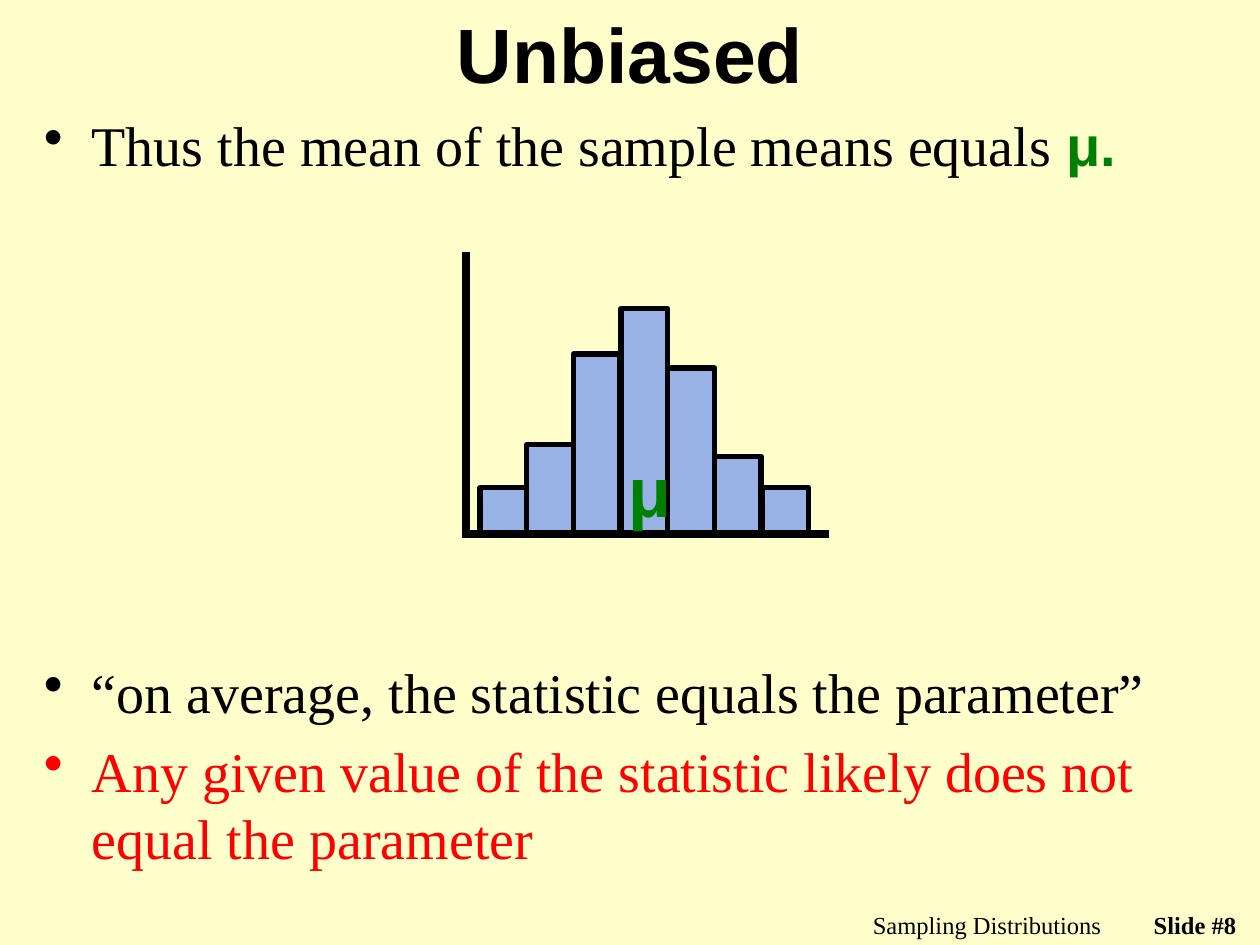
"""Build the slide on why the sample mean is unbiased."""
from dataclasses import dataclass

from lxml import etree
from pptx import Presentation
from pptx.dml.color import RGBColor
from pptx.enum.shapes import MSO_CONNECTOR, MSO_SHAPE
from pptx.enum.text import MSO_ANCHOR, MSO_AUTO_SIZE, PP_ALIGN
from pptx.oxml.ns import qn
from pptx.shapes.shapetree import GroupShapes
from pptx.slide import Slide
from pptx.util import Pt

LEFT, CENTER, RIGHT = PP_ALIGN.LEFT, PP_ALIGN.CENTER, PP_ALIGN.RIGHT
TOP, MIDDLE = MSO_ANCHOR.TOP, MSO_ANCHOR.MIDDLE
RECT, LINE = MSO_SHAPE.RECTANGLE, MSO_CONNECTOR.STRAIGHT
GROW = MSO_AUTO_SIZE.SHAPE_TO_FIT_TEXT

BLACK = RGBColor(0x00, 0x00, 0x00)
CREAM = RGBColor(0xFF, 0xFF, 0xCC)
GREEN = RGBColor(0x00, 0x80, 0x00)
RED = RGBColor(0xFF, 0x00, 0x00)
BLUE = RGBColor(0x33, 0x66, 0xFF)

SERIF, SANS = "Times New Roman", "Arial"
PX = 9144
BASE, START, STEP = 423, 381, 112 / 3
BARS = (36, 70, 142, 178, 131, 61, 36)


@dataclass
class Span:
    text: str
    size: int
    font: str = SERIF
    color: RGBColor = BLACK
    bold: bool = False


@dataclass
class Label:
    box: tuple[int, int, int, int]
    lines: list[list[Span]]
    align: PP_ALIGN = LEFT
    anchor: MSO_ANCHOR = TOP
    bullet: bool = False
    wrap: bool = True


@dataclass
class Axis:
    start: tuple[int, int]
    end: tuple[int, int]


LABELS = [
    Label((567, 717, 317, 25), [[Span("Sampling Distributions", 14)]], RIGHT),
    Label((883, 717, 108, 17), [[Span("Slide #8", 14, bold=True)]], RIGHT),
    Label((75, 8, 850, 67), [[Span("Unbiased", 44, SANS, bold=True)]], CENTER, MIDDLE),
    Label((25, 83, 950, 83), [[
        Span("Thus the mean of the sample means equals ", 32),
        Span("μ.", 32, SANS, GREEN, True),
    ]], bullet=True),
    Label((25, 517, 950, 192), [
        [Span("“on average, the statistic equals the parameter”", 32)],
        [Span("Any given value of the statistic likely does not equal the parameter",
              32, color=RED)],
    ], bullet=True),
]
MEAN = Label((489, 350, 52, 77), [[Span("μ", 40, SANS, GREEN, True)]], wrap=False)
AXES = [Axis((370, 200), (370, 424)), Axis((658, 424), (367, 424))]


def scale(*sizes: int) -> list[int]:
    """Turn px into EMU."""
    return [size * PX for size in sizes]


def add_label(slide: Slide, label: Label) -> None:
    """Draw one text box with its paragraphs."""
    frame = slide.shapes.add_textbox(*scale(*label.box)).text_frame
    frame.word_wrap = label.wrap
    frame.vertical_anchor = label.anchor
    if not label.wrap:
        frame.auto_size = GROW
    frame.text = "\n".join("".join(s.text for s in line) for line in label.lines)
    for index, (para, line) in enumerate(zip(frame.paragraphs, label.lines)):
        para.alignment = label.align
        if label.bullet:
            props = para._p.get_or_add_pPr()
            props.set("marL", str(38 * PX))
            props.set("indent", str(-38 * PX))
            etree.SubElement(props, qn("a:buChar")).set("char", "•")
            if index:
                para.space_before = Pt(6.4)
        if len(line) > 1:
            para.clear()
            for span in line:
                para.add_run().text = span.text
        for run, span in zip(para.runs, line):
            run.font.name = span.font
            run.font.size = Pt(span.size)
            run.font.bold = span.bold
            run.font.color.rgb = span.color


def add_axis(shapes: GroupShapes, axis: Axis) -> None:
    """Draw one axis line."""
    line = shapes.add_connector(LINE, *scale(*axis.start, *axis.end))
    line.line.color.rgb = BLACK
    line.line.width = Pt(4.5)
    etree.SubElement(line._element.spPr, qn("a:effectLst"))


def add_bar(shapes: GroupShapes, index: int, height: int) -> None:
    """Draw one half-clear bar standing on the base line."""
    left = START + int(index * STEP)
    bar = shapes.add_shape(RECT, *scale(left, BASE - height, 37, height))
    bar.shadow.inherit = False
    bar.fill.solid()
    bar.fill.fore_color.rgb = BLUE
    tint = bar._element.spPr.find(qn("a:solidFill")).find(qn("a:srgbClr"))
    etree.SubElement(tint, qn("a:alpha")).set("val", "50000")
    bar.line.color.rgb = BLACK
    bar.line.width = Pt(3)


def main() -> None:
    """Build and save the slide."""
    deck = Presentation()
    deck.slide_width, deck.slide_height = scale(1000, 750)
    slide = deck.slides.add_slide(deck.slide_layouts[6])
    slide.background.fill.solid()
    slide.background.fill.fore_color.rgb = CREAM
    for label in LABELS:
        add_label(slide, label)
    graph = slide.shapes.add_group_shape().shapes
    for index, height in enumerate(BARS):
        add_bar(graph, index, height)
    for axis in AXES:
        add_axis(graph, axis)
    add_label(slide, MEAN)
    deck.save("out.pptx")


if __name__ == "__main__":
    main()
